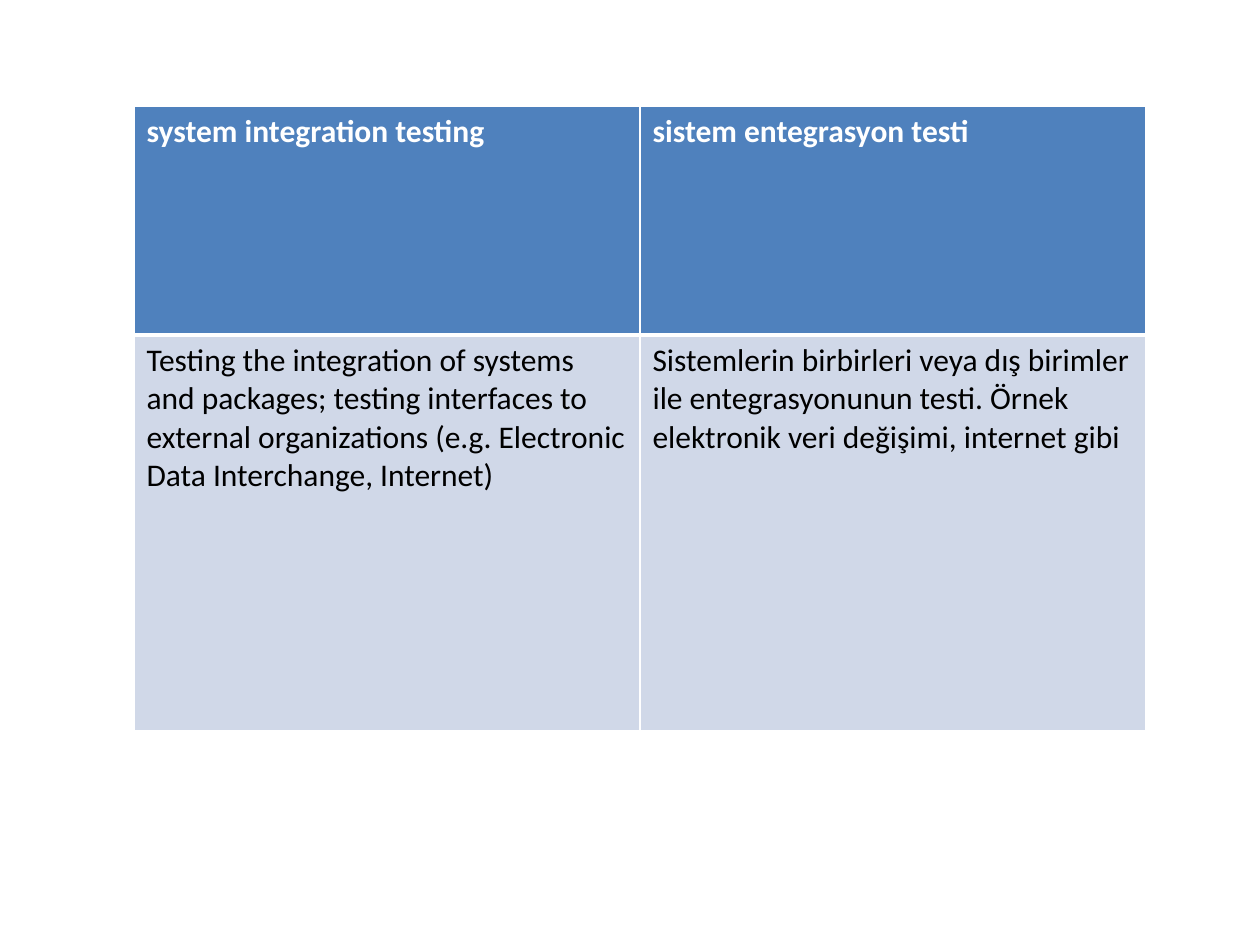
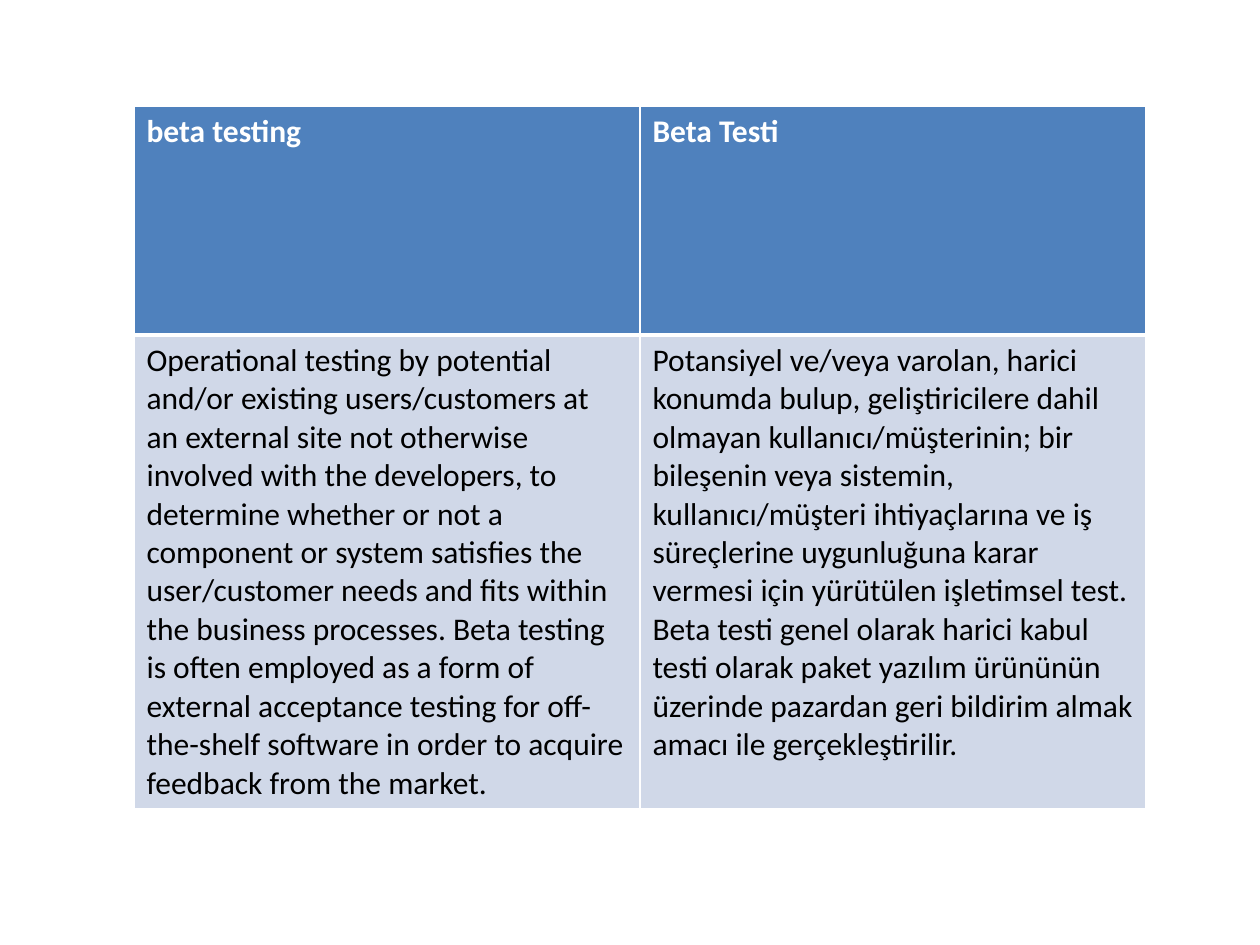
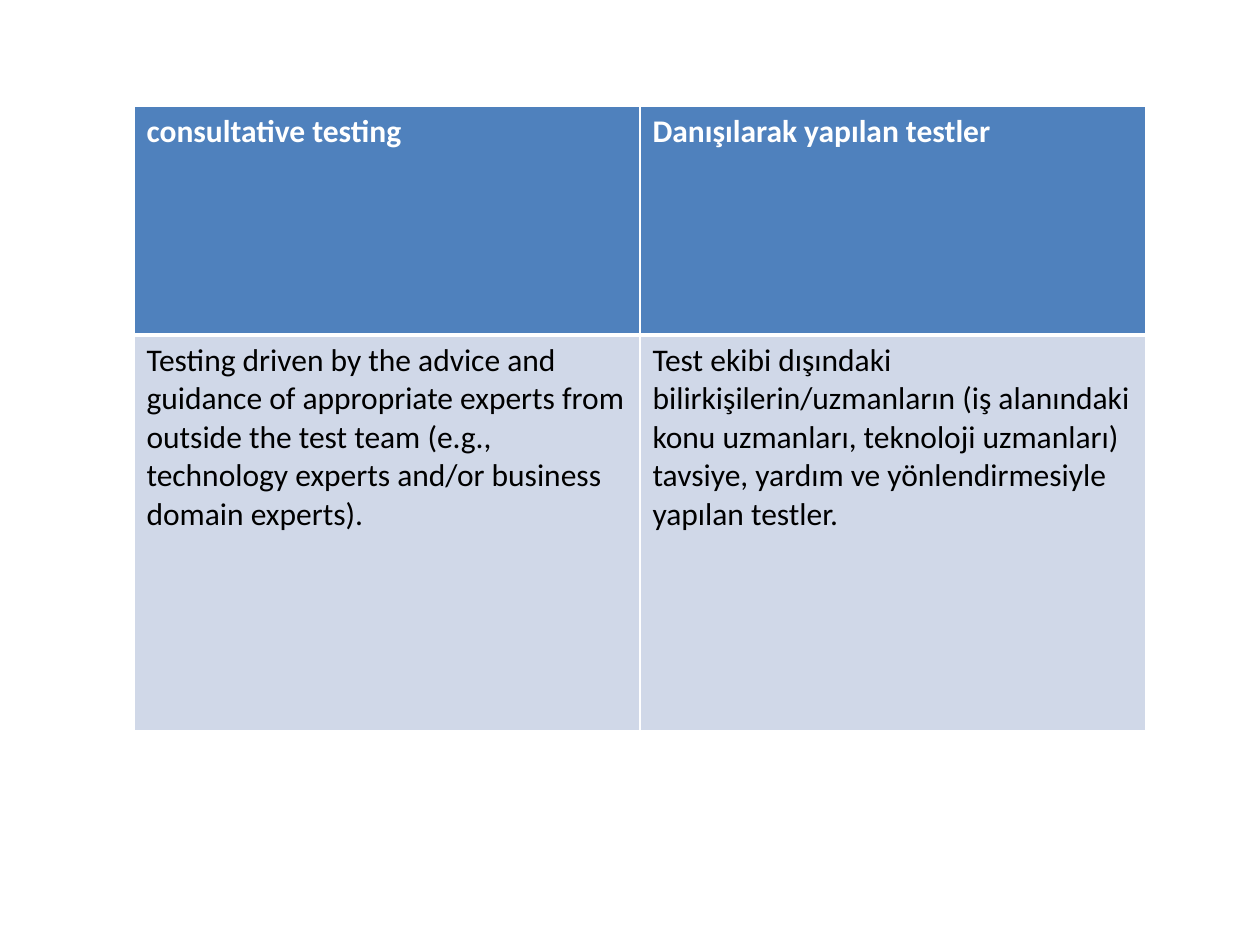
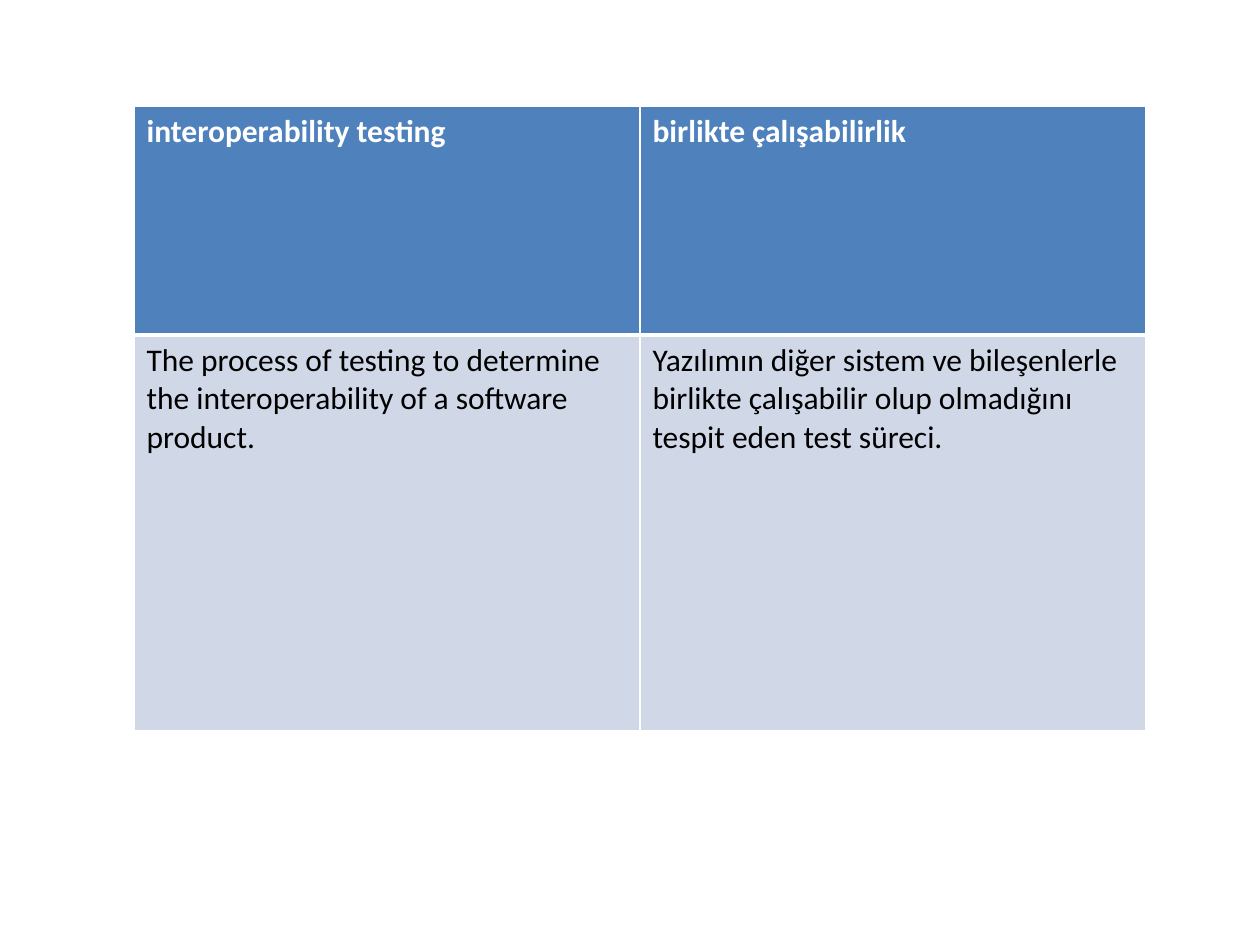
import pptx
import pptx.dml.color
import pptx.oxml
import pptx.oxml.ns
import pptx.util

# Shared style
PIXEL = 914400 // 126
FONT = "Calibri"
TEXT_SIZE = 18
WHITE, BLACK = "FFFFFF", "000000"
HEADER_FILL, BODY_FILL = "4F81BD", "D0D8E8"
THIN, THICK = 1, 3

# Shared table grid, in pixels
TABLE_LEFT, TABLE_TOP = 134, 106
COLUMN_WIDTH = 506
HEADER_HEIGHT, BODY_HEIGHT = 229, 396

# Each entry: (English term, Turkish term), (English definition, Turkish definition), table height
GLOSSARY = [
    (("system integration testing", "sistem entegrasyon testi"),
     ("Testing the integration of systems and packages; testing interfaces to "
      "external organizations (e.g. Electronic Data Interchange, Internet)",
      "Sistemlerin birbirleri veya dış birimler ile entegrasyonunun testi. "
      "Örnek elektronik veri değişimi, internet gibi"),
     625),
    (("beta testing", "Beta Testi"),
     ("Operational testing by potential and/or existing users/customers at an "
      "external site not otherwise involved with the developers, to determine "
      "whether or not a component or system satisfies the user/customer needs "
      "and fits within the business processes. Beta testing is often employed "
      "as a form of external acceptance testing for off-the-shelf software in "
      "order to acquire feedback from the market.",
      "Potansiyel ve/veya varolan, harici konumda bulup, geliştiricilere dahil "
      "olmayan kullanıcı/müşterinin; bir bileşenin veya sistemin, "
      "kullanıcı/müşteri ihtiyaçlarına ve iş süreçlerine uygunluğuna karar "
      "vermesi için yürütülen işletimsel test. Beta testi genel olarak harici "
      "kabul testi olarak paket yazılım ürününün üzerinde pazardan geri "
      "bildirim almak amacı ile gerçekleştirilir."),
     695),
    (("consultative testing", "Danışılarak yapılan testler"),
     ("Testing driven by the advice and guidance of appropriate experts from "
      "outside the test team (e.g., technology experts and/or business domain "
      "experts).",
      "Test ekibi dışındaki bilirkişilerin/uzmanların (iş alanındaki konu "
      "uzmanları, teknoloji uzmanları) tavsiye, yardım ve yönlendirmesiyle "
      "yapılan testler."),
     625),
    (("interoperability testing", "birlikte çalışabilirlik"),
     ("The process of testing to determine the interoperability of a software "
      "product.",
      "Yazılımın diğer sistem ve bileşenlerle birlikte çalışabilir olup "
      "olmadığını tespit eden test süreci."),
     625),
]


def px(pixels):
    return pptx.util.Emu(pixels * PIXEL)


def color(hex_code):
    return pptx.dml.color.RGBColor.from_string(hex_code)


def write_text(frame, text, ink=BLACK, bold=False, size=TEXT_SIZE, font=FONT):
    run = frame.paragraphs[0].add_run()
    run.text = text
    run.font.name = font
    run.font.size = pptx.util.Pt(size)
    run.font.bold = bold
    run.font.color.rgb = color(ink)


def set_borders(cell, top=THIN, bottom=THIN, ink=WHITE):
    """Add the four cell borders; they must come before the cell fill."""
    properties = cell._tc.get_or_add_tcPr()
    for side, points in (("L", THIN), ("R", THIN), ("T", top), ("B", bottom)):
        properties.append(pptx.oxml.parse_xml(
            f'<a:ln{side} {pptx.oxml.ns.nsdecls("a")} w="{pptx.util.Pt(points)}">'
            f'<a:solidFill><a:srgbClr val="{ink}"/></a:solidFill></a:ln{side}>'))


def fill_row(row, texts, height, fill, ink, bold, **borders):
    row.height = px(height)
    for cell, text in zip(row.cells, texts):
        set_borders(cell, **borders)
        cell.fill.solid()
        cell.fill.fore_color.rgb = color(fill)
        write_text(cell.text_frame, text, ink=ink, bold=bold)


def add_glossary_table(slide, terms, definitions, height):
    frame = slide.shapes.add_table(
        2, 2, px(TABLE_LEFT), px(TABLE_TOP), px(2 * COLUMN_WIDTH), px(height))
    for column in frame.table.columns:
        column.width = px(COLUMN_WIDTH)
    header, body = frame.table.rows
    fill_row(header, terms, HEADER_HEIGHT, HEADER_FILL, WHITE, True, bottom=THICK)
    fill_row(body, definitions, BODY_HEIGHT, BODY_FILL, BLACK, False, top=THICK)
    # A long definition makes the table taller than its set rows
    frame.height = px(height)


def main():
    deck = pptx.Presentation()
    deck.slide_width = pptx.util.Inches(10)
    deck.slide_height = pptx.util.Inches(7.5)
    blank_layout = deck.slide_layouts[6]
    for terms, definitions, height in GLOSSARY:
        add_glossary_table(deck.slides.add_slide(blank_layout), terms, definitions, height)
    deck.save("out.pptx")


main()
